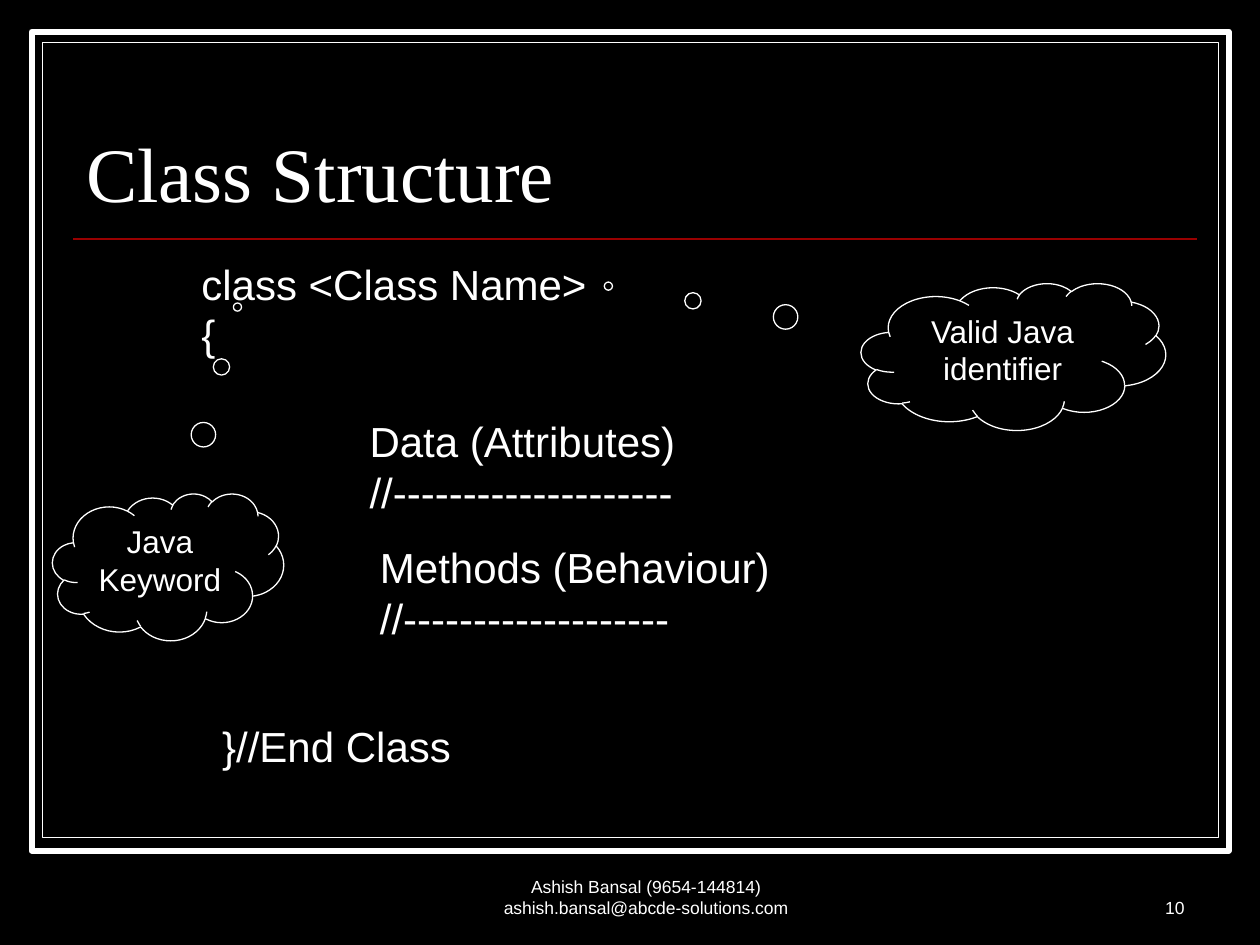
from pptx import Presentation
from pptx.dml.color import RGBColor
from pptx.enum.shapes import MSO_CONNECTOR, MSO_SHAPE
from pptx.enum.text import MSO_ANCHOR, MSO_AUTO_SIZE, PP_ALIGN
from pptx.oxml.ns import qn
from pptx.util import Cm, Pt
from lxml import etree

RECTANGLE = MSO_SHAPE.RECTANGLE
CLOUD = MSO_SHAPE.CLOUD_CALLOUT
STRAIGHT = MSO_CONNECTOR.STRAIGHT
TOP, BOTTOM = MSO_ANCHOR.TOP, MSO_ANCHOR.BOTTOM
LEFT, CENTER, RIGHT = PP_ALIGN.LEFT, PP_ALIGN.CENTER, PP_ALIGN.RIGHT
FIXED, GROW = MSO_AUTO_SIZE.NONE, MSO_AUTO_SIZE.SHAPE_TO_FIT_TEXT


def color(value):
    return RGBColor.from_string(value)


class ClassSlide:
    background = "000000"
    foreground = "FFFFFF"
    accent = "990000"
    body_font = "Arial"
    title_font = "Times New Roman"

    def __init__(self, presentation):
        self.slide = presentation.slides.add_slide(presentation.slide_layouts[5])
        self.shapes = self.slide.shapes
        fill = self.slide.background.fill
        fill.solid()
        fill.fore_color.rgb = color(self.background)

    def add_lines(self, shape, lines, size, align=LEFT, anchor=TOP, font=None):
        frame = shape.text_frame
        frame.vertical_anchor = anchor
        paragraph = frame.paragraphs[0]
        paragraph.alignment = align
        for index, line in enumerate(lines):
            if index:
                paragraph.add_line_break()
            run = paragraph.add_run()
            run.text = line
            run.font.name = font or self.body_font
            run.font.size = Pt(size)
            run.font.color.rgb = color(self.foreground)
        return paragraph

    def outline(self, kind, box, width):
        shape = self.shapes.add_shape(kind, *map(Cm, box))
        shape.shadow.inherit = False
        shape.line.color.rgb = color(self.foreground)
        shape.line.width = Pt(width)
        return shape

    def frame(self, box, width):
        shape = self.outline(RECTANGLE, box, width)
        shape.fill.solid()
        shape.fill.fore_color.rgb = color(self.background)

    def rule(self, left, right, top):
        line = self.shapes.add_connector(STRAIGHT, Cm(left), Cm(top), Cm(right), Cm(top))
        line.line.color.rgb = color(self.accent)
        line.line.width = Pt(1)
        etree.SubElement(line.element.spPr, qn("a:effectLst"))

    def title(self, text, box):
        title = self.shapes.title
        title.element.getparent().append(title.element)
        title.left, title.top, title.width, title.height = map(Cm, box)
        title.text_frame.auto_size = FIXED
        paragraph = self.add_lines(title, [text], 44, LEFT, BOTTOM, self.title_font)
        paragraph.line_spacing = 0.8

    def code(self, lines, box):
        shape = self.shapes.add_textbox(*map(Cm, box))
        shape.text_frame.word_wrap = False
        shape.text_frame.auto_size = GROW
        self.add_lines(shape, lines, 24)

    def footer(self, text, box, align):
        shape = self.shapes.add_textbox(*map(Cm, box))
        shape.text_frame.word_wrap = True
        self.add_lines(shape, [text], 10, align, BOTTOM)

    def cloud(self, lines, box, pointer):
        shape = self.outline(CLOUD, box, 0.75)
        shape.fill.background()
        shape.adjustments[0], shape.adjustments[1] = pointer
        self.add_lines(shape, lines, 18, CENTER)


presentation = Presentation()
presentation.slide_width, presentation.slide_height = Cm(25.4), Cm(19.05)

slide = ClassSlide(presentation)
slide.frame((0.64, 0.64, 24.13, 16.51), 3.5)
slide.frame((0.86, 0.86, 23.7, 16.03), 0.75)
slide.rule(1.48, 24.13, 4.82)
slide.title("Class Structure", (1.48, 1.32, 22.65, 3.18))
slide.footer("Ashish Bansal (9654-144814) ashish.bansal@abcde-solutions.com",
             (9, 17.36, 8.04, 1.27), CENTER)
slide.footer("10", (18.84, 17.36, 5.29, 1.27), RIGHT)

for lines, box in (
    (["class <Class Name>", "{"], (3.81, 5.08, 8.36, 2.3)),
    (["Data (Attributes)", "//" + "-" * 20], (7.2, 8.26, 6.95, 2.3)),
    (["Methods (Behaviour)", "//" + "-" * 19], (7.41, 10.8, 8.68, 2.3)),
    (["}//End Class"], (4.23, 14.39, 5.18, 1.28)),
):
    slide.code(lines, box)

slide.cloud(["Java", "Keyword"], (1.06, 9.95, 4.66, 2.96), (0.3, -1.77))
slide.cloud(["Valid Java", "identifier"], (17.36, 5.71, 6.14, 2.96), (-1.33, -0.48))

presentation.save("out.pptx")
